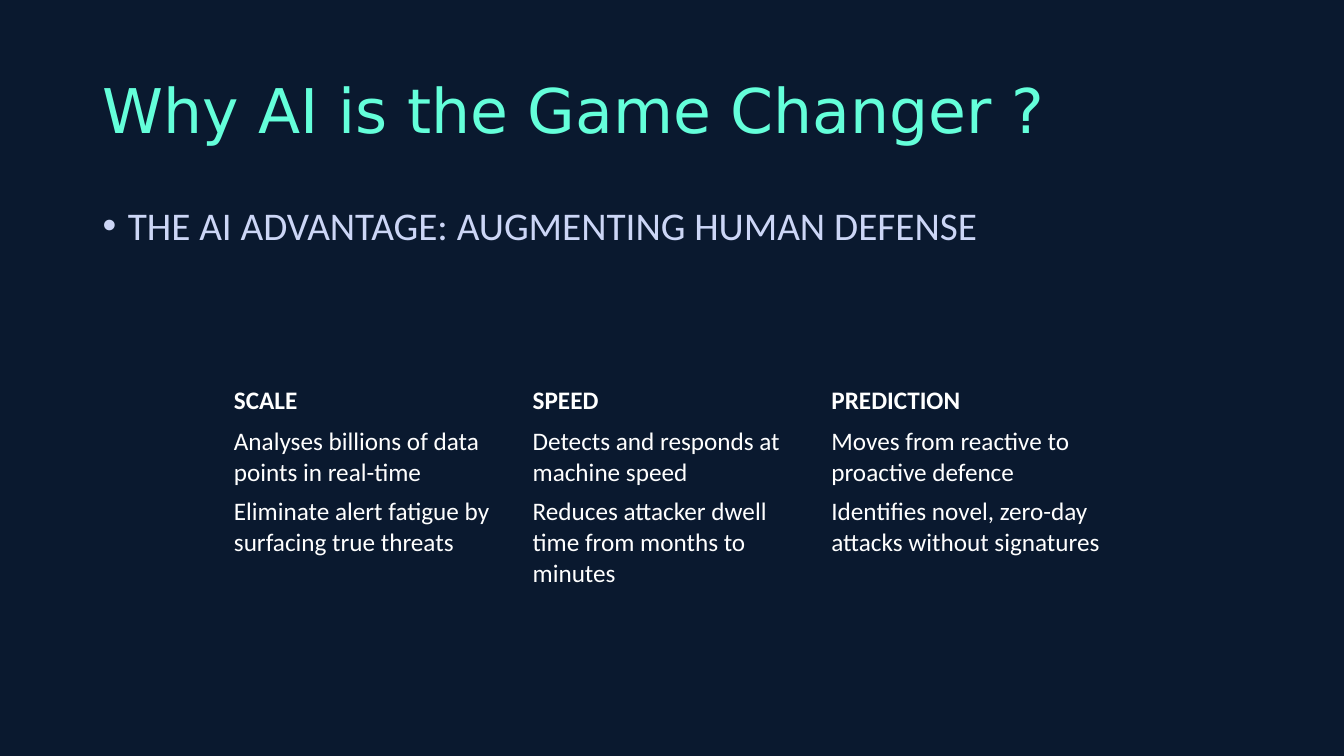
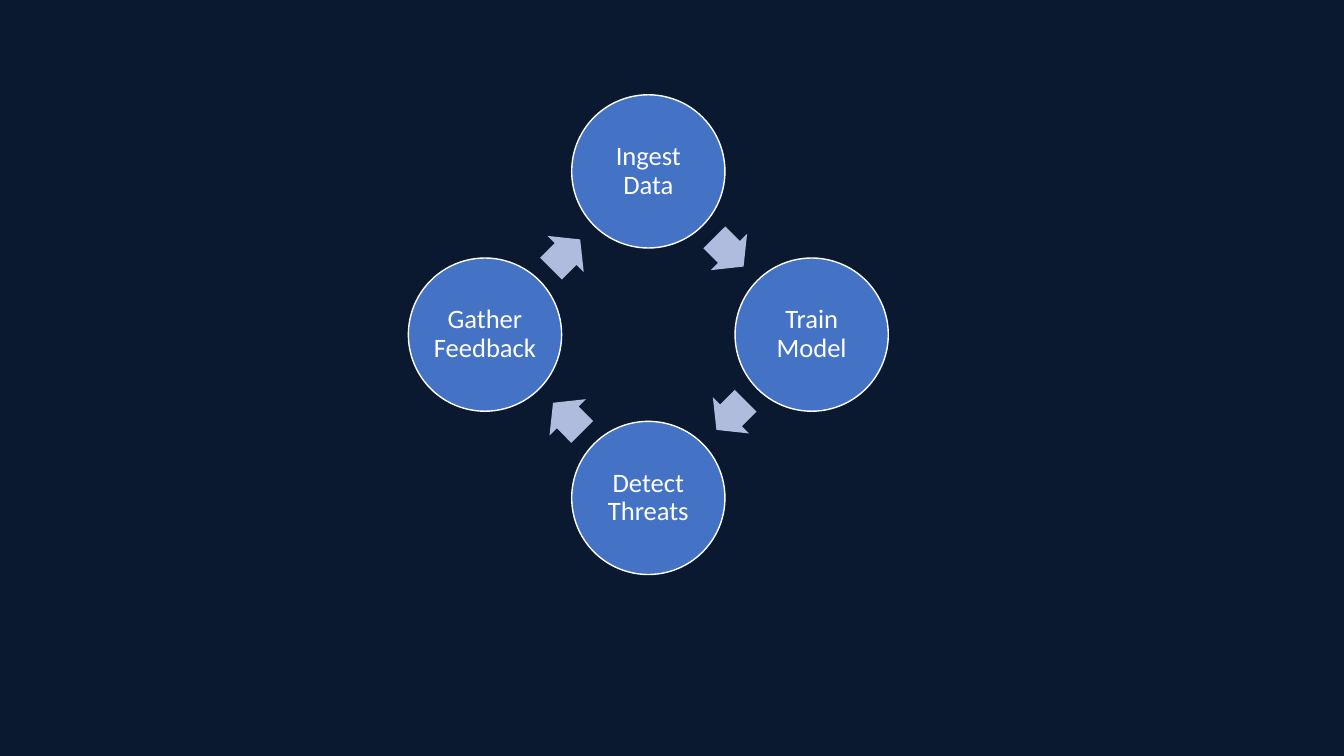
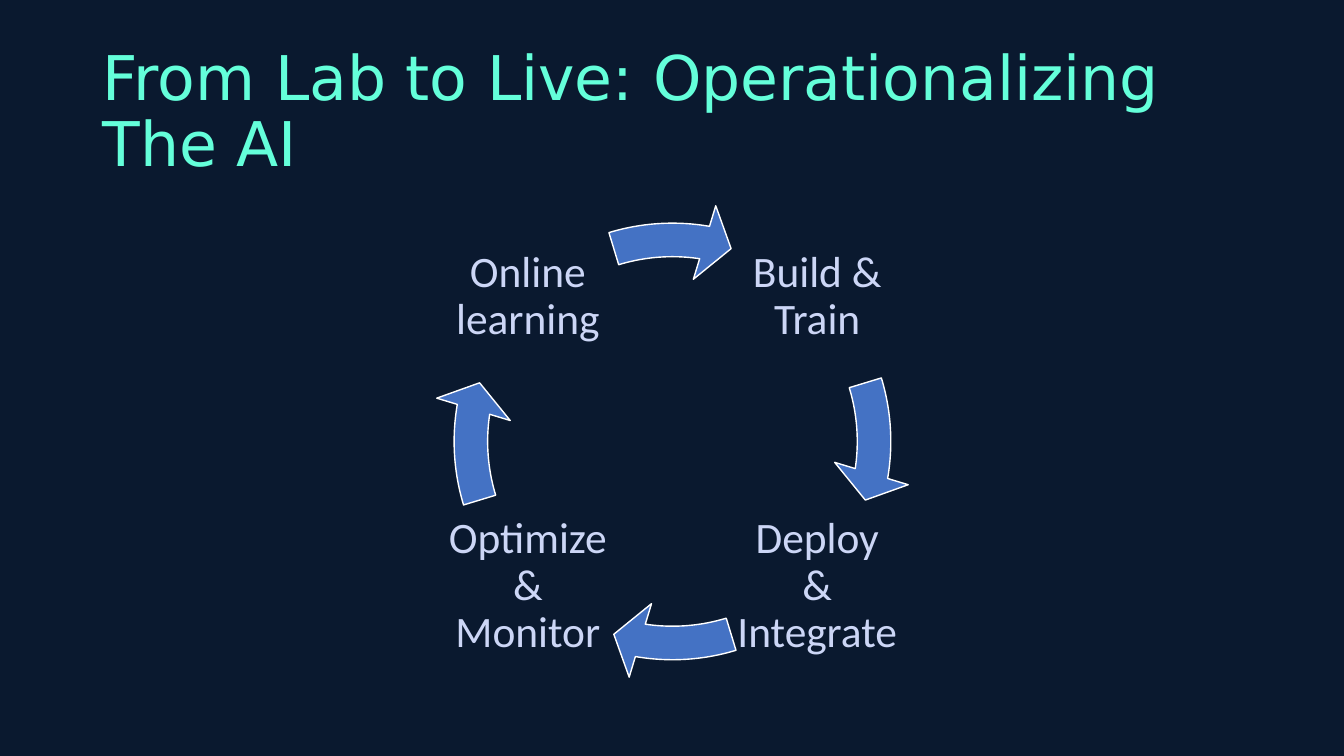
from dataclasses import dataclass

from pptx import Presentation
from pptx.dml.color import RGBColor
from pptx.enum import shapes, text
from pptx.oxml.ns import qn
from pptx.util import Inches, Pt

NAVY, MINT, PALE = "0A192F", "64FFDA", "CCD6F6"
WHITE, BLUE, LAVENDER = "FFFFFF", "4472C4", "B0BCDE"
TITLE_FONT, BODY_FONT = "DejaVu Sans", "Calibri"
TITLE_ONLY, BLANK = 5, 6
PLAIN_TABLE = "{2D5ABB26-0587-4C30-8999-92F81FD0307C}"


@dataclass(frozen=True)
class TextStyle:
    size: float
    color: str
    font: str = BODY_FONT
    bold: bool = False
    align: text.PP_ALIGN = text.PP_ALIGN.LEFT
    spacing: float = 0.9


@dataclass(frozen=True)
class Box:
    left: float
    top: float
    width: float
    height: float

    def lengths(self) -> tuple:
        return tuple(map(Inches, (self.left, self.top, self.width, self.height)))


TITLE = TextStyle(44, MINT, TITLE_FONT)
BULLET = TextStyle(28, PALE)
CELL = TextStyle(18, WHITE, spacing=1)
HEADING = TextStyle(18, WHITE, bold=True, spacing=1)
STAGE = TextStyle(19, WHITE, align=text.PP_ALIGN.CENTER)
STEP = TextStyle(31, PALE, align=text.PP_ALIGN.CENTER)
TITLE_BOX = Box(0.92, 0.4, 11.5, 1.45)


def rgb(color: str) -> RGBColor:
    return RGBColor.from_string(color)


def centred(x: float, y: float, width: float, height: float) -> Box:
    return Box(x - width / 2, y - height / 2, width, height)


def quarter_turn(x: float, y: float, turns: int) -> tuple[float, float]:
    """Turn an offset clockwise by quarters of a circle."""
    for _ in range(turns):
        x, y = -y, x
    return x, y


def write(frame, words: str, style: TextStyle):
    para = frame.paragraphs[0]
    para.text = words
    para.alignment = style.align
    para.line_spacing = style.spacing
    font = para.font
    font.name, font.size, font.bold = style.font, Pt(style.size), style.bold
    font.color.rgb = rgb(style.color)
    return para


def set_frame(frame, inset: float) -> None:
    frame.word_wrap = True
    frame.vertical_anchor = text.MSO_ANCHOR.MIDDLE
    frame.margin_left = frame.margin_right = Inches(inset)
    frame.margin_top = frame.margin_bottom = Inches(inset)


def add_shape(page, kind, box: Box, fill: str, outlined: bool = False):
    shape = page.shapes.add_shape(kind, *box.lengths())
    shape.shadow.inherit = False
    shape.fill.solid()
    shape.fill.fore_color.rgb = rgb(fill)
    if outlined:
        shape.line.color.rgb = rgb(WHITE)
        shape.line.width = Pt(1)
    else:
        shape.line.fill.background()
    return shape


def add_titled_page(deck, words: str):
    page = deck.slides.add_slide(deck.slide_layouts[TITLE_ONLY])
    title = page.shapes.title
    title.left, title.top, title.width, title.height = TITLE_BOX.lengths()
    title.text_frame.auto_size = text.MSO_AUTO_SIZE.NONE
    title.text_frame.vertical_anchor = text.MSO_ANCHOR.MIDDLE
    write(title.text_frame, words, TITLE)
    return page


def add_bullet(page, words: str, box: Box) -> None:
    frame = page.shapes.add_textbox(*box.lengths()).text_frame
    frame.word_wrap = True
    props = frame.paragraphs[0]._p.get_or_add_pPr()
    props.set("marL", str(Inches(0.25)))
    props.set("indent", str(-Inches(0.25)))
    bullet_font = props.makeelement(qn("a:buFont"), {"typeface": "Arial"})
    bullet = props.makeelement(qn("a:buChar"), {"char": "•"})
    props.extend([bullet_font, bullet])
    write(frame, words, BULLET)


def add_plain_table(page, rows: list[tuple[str, ...]], box: Box) -> None:
    table = page.shapes.add_table(len(rows), len(rows[0]), *box.lengths()).table
    table._tbl.tblPr.find(qn("a:tableStyleId")).text = PLAIN_TABLE
    for r, row in enumerate(rows):
        for c, words in enumerate(row):
            cell = table.cell(r, c)
            cell.fill.background()
            write(cell.text_frame, words, CELL if r else HEADING)


def build_advantage(deck) -> None:
    page = add_titled_page(deck, "Why AI is the Game Changer ?")
    add_bullet(page, "THE AI ADVANTAGE: AUGMENTING HUMAN DEFENSE",
               Box(0.92, 2, 11.5, 4.76))
    rows = [
        ("SCALE", "SPEED", "PREDICTION"),
        ("Analyses billions of data points in real-time",
         "Detects and responds at machine speed",
         "Moves from reactive to proactive defence"),
        ("Eliminate alert fatigue by surfacing true threats",
         "Reduces attacker dwell time from months to minutes",
         "Identifies novel, zero-day attacks without signatures"),
    ]
    add_plain_table(page, rows, Box(2.22, 3.77, 8.89, 1.23))


def build_learning_cycle(deck) -> None:
    page = deck.slides.add_slide(deck.slide_layouts[BLANK])
    center_x, center_y, radius, diameter = 6.43, 3.32, 1.62, 1.52
    stages = ("Ingest Data", "Train Model", "Detect Threats", "Gather Feedback")
    for turn, words in enumerate(stages):
        # Stage circle
        dx, dy = quarter_turn(0, -radius, turn)
        circle = add_shape(page, shapes.MSO_SHAPE.OVAL,
                           centred(center_x + dx, center_y + dy, diameter, diameter),
                           BLUE, outlined=True)
        set_frame(circle.text_frame, 0.03)
        write(circle.text_frame, words, STAGE)
        # Arrow to the next stage
        dx, dy = quarter_turn(0.8, -0.82, turn)
        arrow = add_shape(page, shapes.MSO_SHAPE.RIGHT_ARROW,
                          centred(center_x + dx, center_y + dy, 0.41, 0.51), LAVENDER)
        arrow.adjustments[0], arrow.adjustments[1] = 0.6, 0.5
        arrow.rotation = 45 + 90 * turn


def build_operations_cycle(deck) -> None:
    page = add_titled_page(deck, "From Lab to Live: Operationalizing The AI")
    center_x, center_y, offset = 6.67, 4.38, 1.435
    full_circle = 216  # 360 degrees in adjustment units
    steps = ("Build & Train", "Deploy & Integrate ", "Optimize & Monitor",
             "Online learning")
    for turn, words in enumerate(steps):
        # Step label
        dx, dy = quarter_turn(offset, -offset, turn)
        box = centred(center_x + dx, center_y + dy, 1.68, 1.68)
        frame = page.shapes.add_textbox(*box.lengths()).text_frame
        set_frame(frame, 0.04)
        write(frame, words, STEP)
        # Curved arrow to the next step
        arrow = add_shape(page, shapes.MSO_SHAPE.CIRCULAR_ARROW,
                          centred(center_x, center_y, 4.76, 4.76), BLUE, outlined=True)
        swing = turn * full_circle / 4
        angles = (0.07, 4.65, 5.5 + swing, (205.85 + swing) % full_circle, 0.08)
        for index, value in enumerate(angles):
            arrow.adjustments[index] = value


def main() -> None:
    deck = Presentation()
    deck.slide_width, deck.slide_height = Inches(13.33), Inches(7.5)
    # Shared background
    backdrop = deck.slide_master.background.fill
    backdrop.solid()
    backdrop.fore_color.rgb = rgb(NAVY)
    build_advantage(deck)
    build_learning_cycle(deck)
    build_operations_cycle(deck)
    deck.save("out.pptx")


if __name__ == "__main__":
    main()
